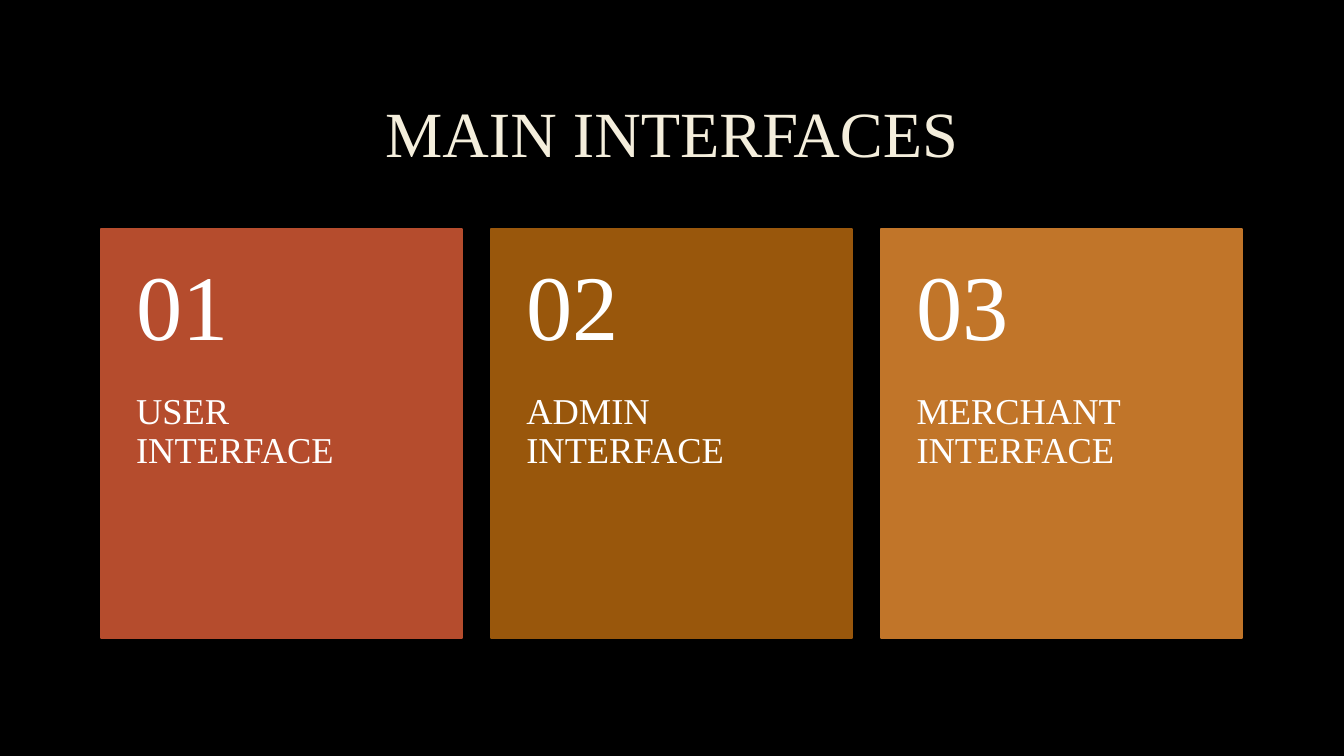
import pptx
import pptx.util
import pptx.dml.color
import pptx.enum.shapes
import pptx.enum.text
import pptx.oxml
import pptx.oxml.ns

Inches = pptx.util.Inches
Pt = pptx.util.Pt
RGBColor = pptx.dml.color.RGBColor
ANCHOR = pptx.enum.text.MSO_ANCHOR

BLACK = RGBColor(0x00, 0x00, 0x00)
CREAM = RGBColor(0xF4, 0xEE, 0xDC)
WHITE = RGBColor(0xFF, 0xFF, 0xFF)
RUST = RGBColor(0xB5, 0x4C, 0x2D)
BROWN = RGBColor(0x99, 0x57, 0x0C)
OCHRE = RGBColor(0xC1, 0x75, 0x29)
FONT = "Times New Roman"

CARD_LEFT, CARD_TOP, CARD_STEP = 1, 2.27, 3.87
CARD_WIDTH, CARD_HEIGHT = 3.58, 4.06


def write(frame, text, size, color, frame_format):
    """Fill a text frame with one formatted paragraph and return its run."""
    for name, value in frame_format.items():
        setattr(frame, name, value)
    paragraph = frame.paragraphs[0]
    paragraph.line_spacing = 0.9
    run = paragraph.add_run()
    run.text = text
    for name, value in {"name": FONT, "size": Pt(size)}.items():
        setattr(run.font, name, value)
    run.font.color.rgb = color
    return run


deck = pptx.Presentation()
deck.slide_width, deck.slide_height = Inches(13.33), Inches(7.5)
slide = deck.slides.add_slide(deck.slide_layouts[5])
slide.background.fill.solid()
slide.background.fill.fore_color.rgb = BLACK

# Title with a faint outline
heading = slide.shapes.title
heading_box = {"left": 1, "top": 0.67, "width": 11.32, "height": 1.38}
for name, value in heading_box.items():
    setattr(heading, name, Inches(value))
heading_run = write(heading.text_frame, "MAIN INTERFACES", 46, CREAM,
                    {"vertical_anchor": ANCHOR.MIDDLE, "word_wrap": True})
heading.text_frame.paragraphs[0].alignment = pptx.enum.text.PP_ALIGN.CENTER
outline = pptx.oxml.parse_xml(
    f'<a:ln {pptx.oxml.ns.nsdecls("a")} w="9525"><a:solidFill><a:srgbClr val="404040">'
    '<a:alpha val="10000"/></a:srgbClr></a:solidFill></a:ln>')
heading_run.font.fill.solid()
heading_run.font.color.rgb = CREAM
heading_run.font._element.insert(0, outline)

# Numbered cards
NAME_FORMAT = {
    "word_wrap": True, "vertical_anchor": ANCHOR.TOP,
    "margin_left": Inches(0.35), "margin_right": Inches(0.35),
    "margin_top": 0, "margin_bottom": Inches(0.36),
}
NUMBER_FORMAT = NAME_FORMAT | {
    "vertical_anchor": ANCHOR.MIDDLE,
    "margin_top": Inches(0.18), "margin_bottom": Inches(0.18),
}
interfaces = [
    ("USER INTERFACE", RUST),
    ("ADMIN INTERFACE", BROWN),
    ("MERCHANT INTERFACE", OCHRE),
]
cards = slide.shapes.add_group_shape().shapes
for index, (interface, color) in enumerate(interfaces):
    left = Inches(CARD_LEFT + index * CARD_STEP)
    width = Inches(CARD_WIDTH)

    card = cards.add_shape(pptx.enum.shapes.MSO_SHAPE.RECTANGLE,
                           left, Inches(CARD_TOP), width, Inches(CARD_HEIGHT))
    card.shadow.inherit = False
    card.fill.solid()
    card.fill.fore_color.rgb = color
    card.line.color.rgb = color
    card.line.width = Pt(1.25)

    interface_name = cards.add_textbox(left, Inches(3.9), width, Inches(2.44))
    write(interface_name.text_frame, interface, 26, WHITE, NAME_FORMAT)

    number = cards.add_textbox(left, Inches(CARD_TOP), width, Inches(1.62))
    write(number.text_frame, f"{index + 1:02}", 66, WHITE, NUMBER_FORMAT)

deck.save("out.pptx")
